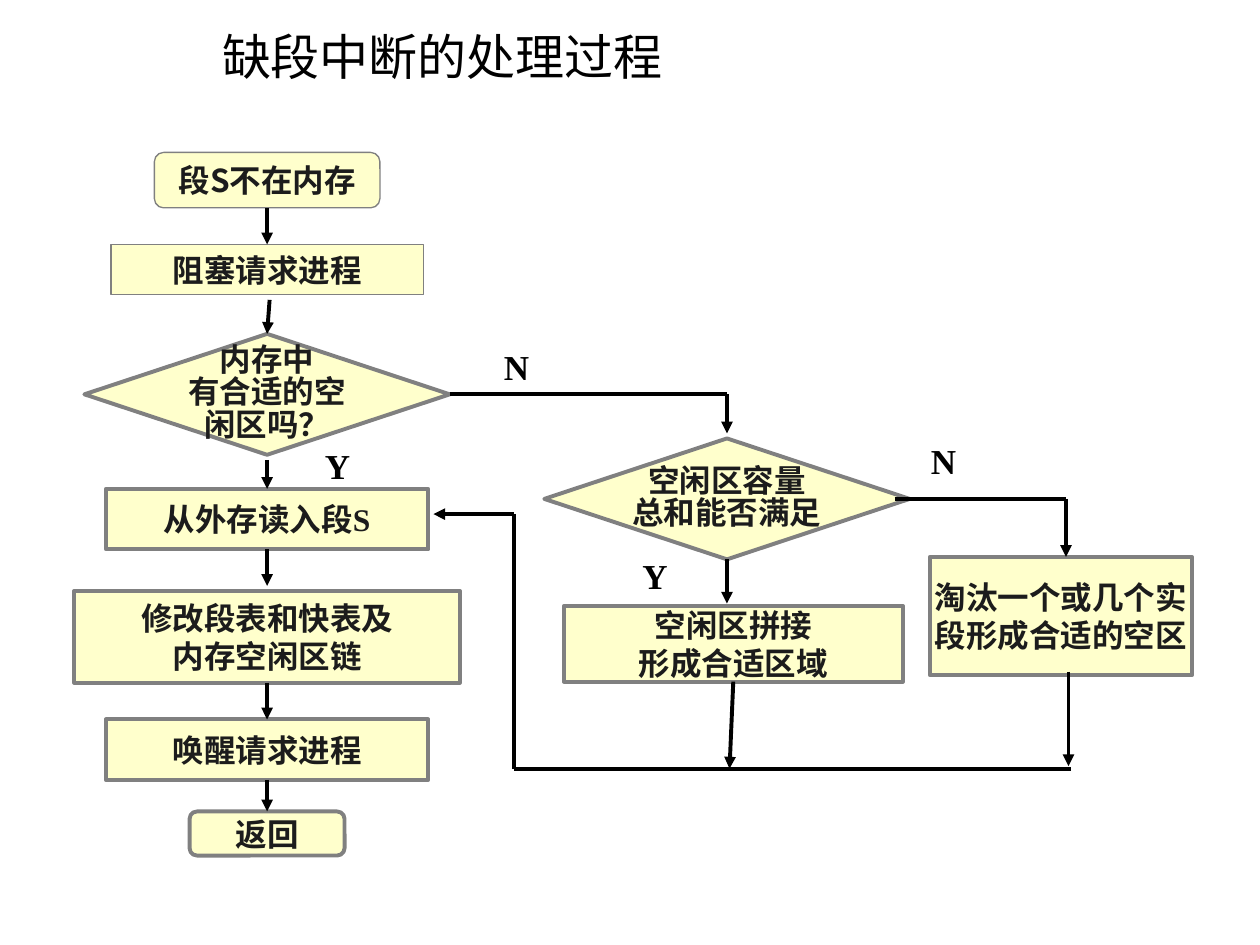
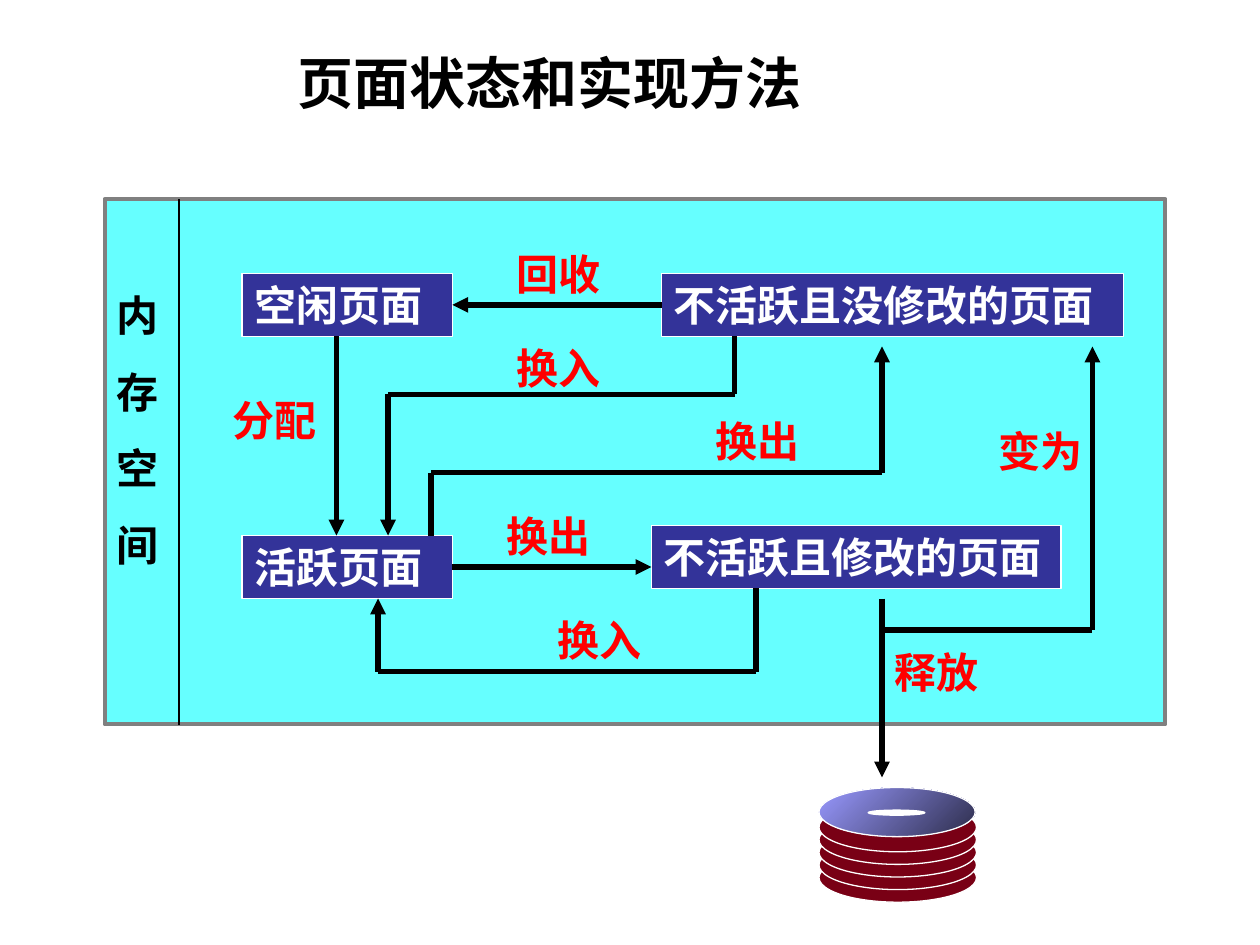
import functools
from typing import NamedTuple

import lxml.etree
import pptx
import pptx.dml.color
import pptx.enum.dml
import pptx.enum.shapes
import pptx.enum.text
import pptx.oxml.ns
import pptx.util

Inches = pptx.util.Inches
Preset = pptx.enum.shapes.MSO_SHAPE
Align = pptx.enum.text.PP_ALIGN
Anchor = pptx.enum.text.MSO_ANCHOR
qn = pptx.oxml.ns.qn

BLACK, WHITE, GRAY = "000000", "FFFFFF", "808080"
CREAM, INK = "FFFFCC", "1C1C1C"
CYAN, INDIGO, RED, MAROON = "66FFFF", "333399", "FF0000", "790015"
SANS, SERIF, CJK = "Lato", "Times New Roman", "Noto Sans CJK SC"
JOIN_DISTANCE = Inches(0.035)
MAIN_X, SPLICE_X = 2.12, 5.77


class Step(NamedTuple):
    text: str
    center: float
    top: float
    width: float
    height: float
    preset: int = Preset.RECTANGLE
    border: float = 2.25
    font: str = SERIF
    spacing: float = 1.0


class PageState(NamedTuple):
    text: str
    left: float
    top: float
    width: float


class Label(NamedTuple):
    text: str
    left: float
    top: float


class Route(NamedTuple):
    points: list
    arrow: bool = True


STEPS = [
    Step("段S不在内存", MAIN_X, 1.21, 1.79, 0.44, Preset.ROUNDED_RECTANGLE, 0.75, CJK),
    Step("阻塞请求进程", MAIN_X, 1.94, 2.48, 0.4, border=0.75),
    Step("内存中\n有合适的空\n闲区吗？", MAIN_X, 2.65, 2.9, 0.96, Preset.DIAMOND, spacing=0.85),
    Step("从外存读入段S", MAIN_X, 3.88, 2.56, 0.48),
    Step("修改段表和快表及\n内存空闲区链", MAIN_X, 4.69, 3.06, 0.73),
    Step("唤醒请求进程", MAIN_X, 5.71, 2.56, 0.48),
    Step("返回", MAIN_X, 6.44, 1.23, 0.35, Preset.FLOWCHART_ALTERNATE_PROCESS),
    Step("空闲区容量\n总和能否满足", SPLICE_X, 3.48, 2.9, 0.96, Preset.DIAMOND, spacing=0.85),
    Step("空闲区拼接\n形成合适区域", 5.82, 4.81, 2.69, 0.6),
    Step("淘汰一个或几个实\n段形成合适的空区", 8.42, 4.42, 2.08, 0.94),
]
FLOW = [
    Route([(MAIN_X, 1.63), (MAIN_X, 1.92)]),
    Route([(2.14, 2.38), (MAIN_X, 2.63)]),
    Route([(MAIN_X, 3.65), (MAIN_X, 3.85)]),
    Route([(MAIN_X, 4.35), (MAIN_X, 4.65)]),
    Route([(MAIN_X, 5.44), (MAIN_X, 5.73)]),
    Route([(MAIN_X, 6.19), (MAIN_X, 6.42)]),
    Route([(3.56, 3.13), (SPLICE_X, 3.13), (SPLICE_X, 3.44)]),
    Route([(SPLICE_X, 4.44), (SPLICE_X, 4.79)]),
    Route([(7.1, 3.96), (8.46, 3.96), (8.46, 4.42)]),
    Route([(5.79, 5.42), (5.79, 6.1)]),
    Route([(8.48, 5.33), (8.48, 6.08)]),
    Route([(8.5, 6.1), (4.08, 6.1), (4.08, 4.08), (3.44, 4.08)]),
]
ANSWERS = [Label("N", 3.9, 2.69), Label("N", 7.29, 3.44),
           Label("Y", 5, 4.35), Label("Y", 2.48, 3.48)]

PAGE_STATES = [
    PageState("空闲页面", 1.92, 2.17, 1.67),
    PageState("活跃页面", 1.92, 4.25, 1.67),
    PageState("不活跃且修改的页面", 5.17, 4.17, 3.25),
    PageState("不活跃且没修改的页面", 5.25, 2.17, 3.67),
]
TRANSITIONS = [
    Route([(2.67, 2.67), (2.67, 4.25)]),
    Route([(3.58, 4.5), (5.17, 4.5)]),
    Route([(3.42, 4.25), (3.42, 3.75), (7, 3.75), (7, 2.75)]),
    Route([(6, 4.67), (6, 5.33), (3, 5.33), (3, 4.75)]),
    Route([(5.83, 2.67), (5.83, 3.13), (3.08, 3.13), (3.08, 4.25)]),
    Route([(5.25, 2.42), (3.58, 2.42)]),
    Route([(7, 4.75), (7, 6.17)]),
    Route([(7, 5), (8.67, 5), (8.67, 2.75)]),
]
ACTIONS = [
    Label("分配", 1.75, 3.08), Label("换出", 3.92, 4), Label("换出", 5.58, 3.25),
    Label("换入", 4.33, 4.83), Label("换入", 4, 2.67), Label("回收", 4, 1.92),
    Label("释放", 7, 5.08), Label("变为", 7.83, 3.33),
]


def rgb(value: str):
    return pptx.dml.color.RGBColor.from_string(value)


def write(shape, text: str, *, size: float, color: str, font: str = SANS,
          east_asian: str = SANS, bold: bool = True, align=Align.LEFT,
          anchor=Anchor.TOP, spacing: float = 1.0, before: float = 0,
          wrap: bool = True) -> None:
    frame = shape.text_frame
    frame.auto_size = pptx.enum.text.MSO_AUTO_SIZE.NONE
    frame.word_wrap = wrap
    frame.vertical_anchor = anchor
    for index, line in enumerate(text.split("\n")):
        paragraph = frame.add_paragraph() if index else frame.paragraphs[0]
        paragraph.alignment = align
        paragraph.line_spacing = spacing
        paragraph.space_before = pptx.util.Pt(before if index else 0)
        run = paragraph.add_run()
        run.text = line
        run.font.size = pptx.util.Pt(size)
        run.font.bold = bold
        run.font.name = font
        run.font.color.rgb = rgb(color)
        properties = run.font._element
        lxml.etree.SubElement(properties, qn("a:ea")).set("typeface", east_asian)


def add_titled_slide(deck, text: str, box: tuple, **style):
    slide = deck.slides.add_slide(deck.slide_layouts[5])
    title = slide.shapes.title
    title.left, title.top, title.width, title.height = map(Inches, box)
    write(title, text, color=BLACK, **style)
    return slide


def add_block(slide, preset, box: tuple, fill: str, border: str, weight: float):
    block = slide.shapes.add_shape(preset, *map(Inches, box))
    block.shadow.inherit = False
    block.fill.solid()
    block.fill.fore_color.rgb = rgb(fill)
    block.line.color.rgb = rgb(border)
    block.line.width = pptx.util.Pt(weight)
    return block


def add_label(slide, text: str, box: tuple, **style) -> None:
    write(slide.shapes.add_textbox(*map(Inches, box)), text, **style)


def find_side(point: tuple, blocks: list):
    x, y = map(Inches, point)
    for block in blocks:
        middle_x, middle_y = block.left + block.width // 2, block.top + block.height // 2
        sides = [(middle_x, block.top), (block.left, middle_y),
                 (middle_x, block.top + block.height), (block.left + block.width, middle_y)]
        for site, (side_x, side_y) in enumerate(sides):
            if max(abs(x - side_x), abs(y - side_y)) <= JOIN_DISTANCE:
                return block, site
    return None


def add_route(slide, route: Route, weight: float, blocks: list) -> None:
    last = len(route.points) - 2
    for index, (start, end) in enumerate(zip(route.points, route.points[1:])):
        segment = slide.shapes.add_connector(
            pptx.enum.shapes.MSO_CONNECTOR.STRAIGHT, *map(Inches, start + end))
        segment.line.color.rgb = rgb(BLACK)
        segment.line.width = pptx.util.Pt(weight)
        if index == last and route.arrow:
            outline = segment.line._get_or_add_ln()
            lxml.etree.SubElement(outline, qn("a:tailEnd")).set("type", "triangle")
        lxml.etree.SubElement(segment._element.spPr, qn("a:effectLst"))
        for point, connect in ((start, segment.begin_connect), (end, segment.end_connect)):
            side = find_side(point, blocks)
            if side:
                connect(*side)


def build_fault_flow(deck) -> None:
    slide = add_titled_slide(deck, "缺段中断的处理过程", (0, 0.16, 7.02, 1.24), size=28, bold=False,
                             font="Noto Sans CJK KR", east_asian="Noto Sans CJK KR",
                             align=Align.CENTER)
    blocks = []
    for step in STEPS:
        box = (step.center - step.width / 2, step.top, step.width, step.height)
        block = add_block(slide, step.preset, box, CREAM, GRAY, step.border)
        write(block, step.text, size=18, color=INK, font=step.font, align=Align.CENTER,
              anchor=Anchor.MIDDLE, spacing=step.spacing, wrap=False)
        blocks.append(block)
    for route in FLOW:
        add_route(slide, route, 2.25, blocks)
    for answer in ANSWERS:
        add_label(slide, answer.text, (answer.left, answer.top, 0.6, 0.44),
                  size=20, color=BLACK, font=SERIF)


def add_disk(slide) -> None:
    add_disc = functools.partial(add_block, slide, Preset.OVAL, border=WHITE, weight=0.75)
    for layer in range(5):
        add_disc((6.5, 6.77 - 0.1 * layer, 1.25, 0.39), fill=MAROON)
    surface = add_disc((6.5, 6.25, 1.24, 0.39), fill=INDIGO)
    surface.fill.gradient()
    surface.fill.gradient_angle = 315
    for stop, color in zip(surface.fill.gradient_stops, ("9999FF", "2D2D4B")):
        stop.color.rgb = rgb(color)
    add_disc((6.89, 6.43, 0.45, 0.04), fill=WHITE)


def build_page_states(deck) -> None:
    slide = add_titled_slide(deck, "页面状态和实现方法", (2.26, 0.15, 5.08, 0.82), size=32,
                             font=CJK, east_asian=CJK, anchor=Anchor.BOTTOM)
    add_block(slide, Preset.RECTANGLE, (0.83, 1.58, 8.42, 4.17), CYAN, GRAY, 2.25)
    blocks = []
    for state in PAGE_STATES:
        box = (state.left, state.top, state.width, 0.5)
        block = add_block(slide, Preset.RECTANGLE, box, INDIGO, WHITE, 0.75)
        write(block, state.text, size=24, color=WHITE)
        blocks.append(block)
    add_disk(slide)
    for route in TRANSITIONS:
        add_route(slide, route, 3, blocks)
    add_route(slide, Route([(1.42, 1.58), (1.42, 5.75)], arrow=False), 0.75, blocks)
    for action in ACTIONS:
        add_label(slide, action.text, (action.left, action.top, 1, 0.5), size=24, color=RED)
    add_label(slide, "内\n存\n空\n间", (0.83, 2.25, 0.58, 2.33), size=24, color=BLACK, before=15)


def main() -> None:
    deck = pptx.Presentation()
    deck.slide_width, deck.slide_height = Inches(10), Inches(7.5)
    build_fault_flow(deck)
    build_page_states(deck)
    deck.save("out.pptx")


if __name__ == "__main__":
    main()
